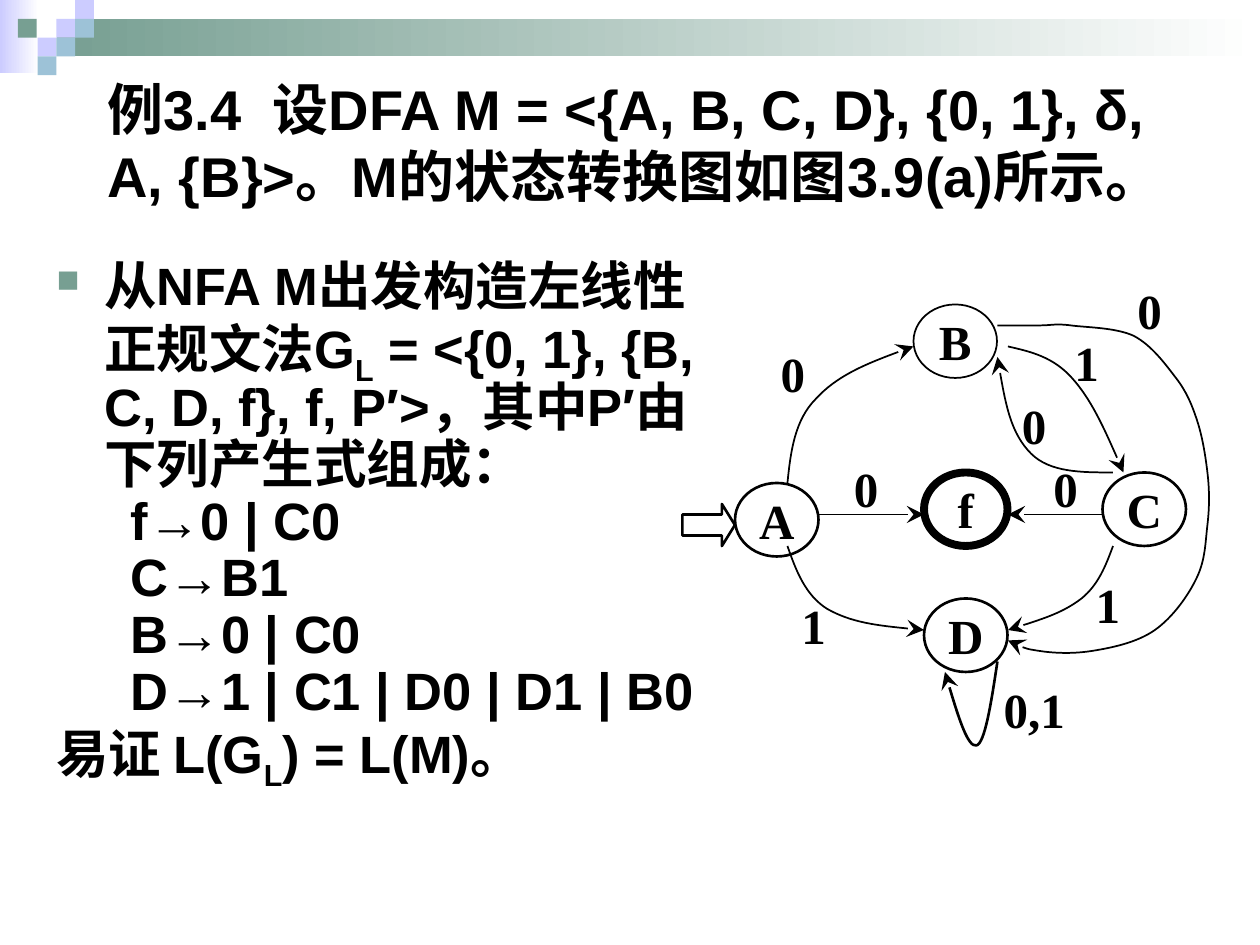
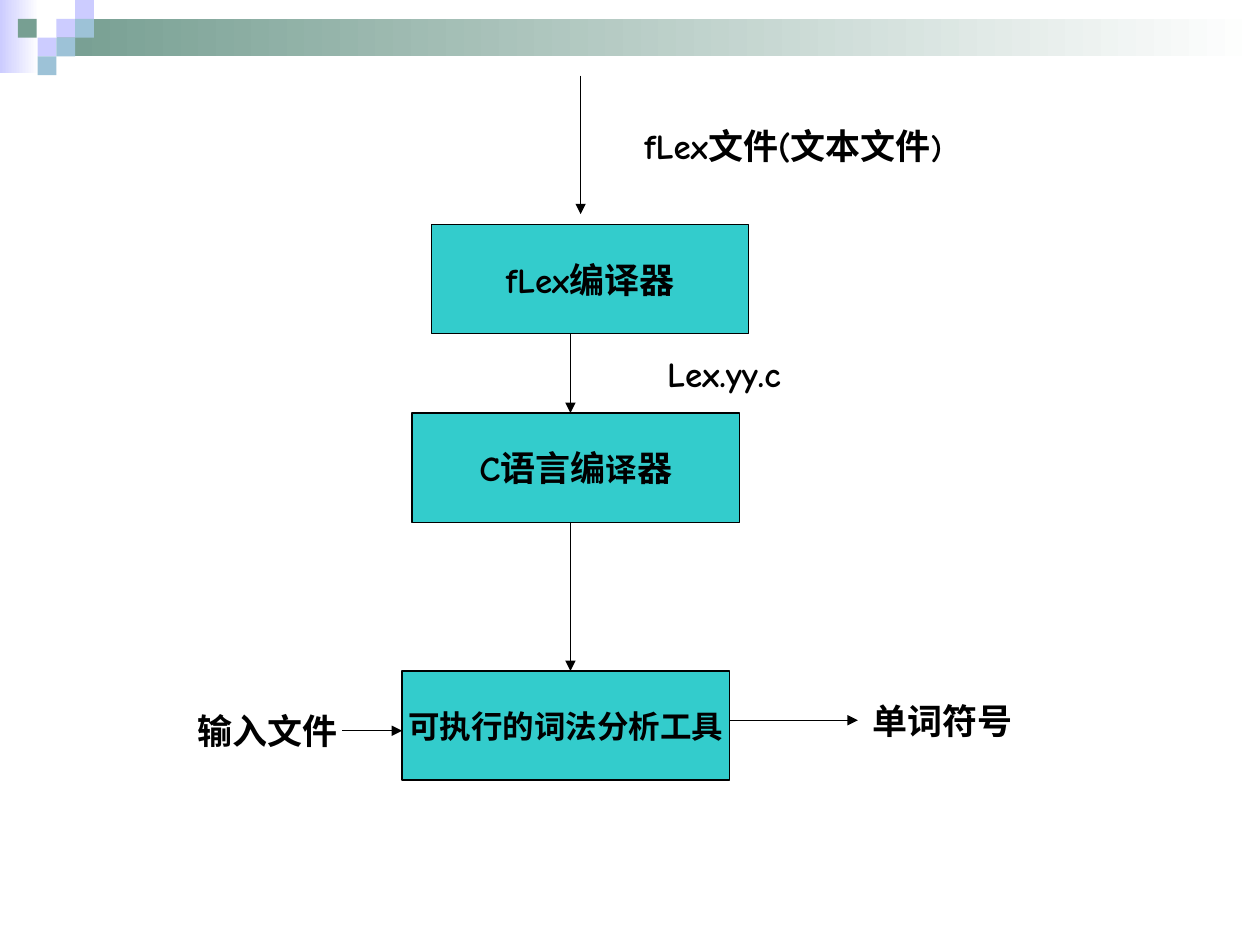
"""Build two lecture slides: a state diagram with its grammar, and the fLex workflow."""
import pptx
import pptx.dml.color
import pptx.enum.shapes
import pptx.enum.text
import pptx.oxml.ns
import pptx.util
from lxml import etree

color = pptx.dml.color.RGBColor.from_string
qn = pptx.oxml.ns.qn
PRESET = pptx.enum.shapes.MSO_SHAPE
ANCHOR = pptx.enum.text.MSO_ANCHOR
CENTER = pptx.enum.text.PP_ALIGN.CENTER

BLACK, WHITE = "000000", "FFFFFF"
LILAC, GREEN, BLUE, TEAL = "CCCCFF", "779F92", "9DC2D7", "33CCCC"

presentation = pptx.Presentation()
presentation.slide_width = pptx.util.Inches(10)
presentation.slide_height = pptx.util.Inches(7.5)
CELL = presentation.slide_width // 120


def add_box(slide, preset, bounds, fill=None, line_width=0):
    """Add a preset shape, or a text box when preset is None, at bounds in grid cells."""
    place = [round(CELL * value) for value in bounds]
    if preset is None:
        shape = slide.shapes.add_textbox(*place)
    else:
        shape = slide.shapes.add_shape(preset, *place)
        shape.shadow.inherit = False
        if fill:
            shape.fill.solid()
            shape.fill.fore_color.rgb = color(fill)
        else:
            shape.fill.background()
        if line_width:
            shape.line.color.rgb = color(BLACK)
            shape.line.width = pptx.util.Pt(line_width)
        else:
            shape.line.fill.background()
    shape.text_frame.word_wrap = False
    shape.text_frame.vertical_anchor = ANCHOR.MIDDLE
    return shape


def write(paragraph, text, font_name, size, marked_size=None):
    """Write bold text; parts between underscores get marked_size, or else are subscripts."""
    paragraph._p.get_or_add_pPr().set("hangingPunct", "0")
    for index, part in enumerate(text.split("_")):
        run = paragraph.add_run()
        run.text = part
        run.font.name = font_name
        run.font.bold = True
        run.font.color.rgb = color(BLACK)
        run.font.size = pptx.util.Pt(size)
        if index % 2 and marked_size:
            run.font.size = pptx.util.Pt(marked_size)
        elif index % 2:
            run.font._element.set("baseline", "-25000")


blank = presentation.slide_layouts[6]
grammar_slide, workflow_slide = [presentation.slides.add_slide(blank) for _ in range(2)]

SQUARE = 1.79
squares = [(3, 1, LILAC), (4, 0, LILAC), (4, 1, BLUE), (2, 2, LILAC),
           (0.95, 1, GREEN), (3, 2, BLUE), (2, 3, BLUE)]
for slide in presentation.slides:
    for bounds, tint in [((0, 0, 3.7, 7), LILAC), ((5.4, 1.8, 114.6, 3.55), GREEN)]:
        band = add_box(slide, PRESET.RECTANGLE, bounds)
        band.fill.gradient()
        band.fill.gradient_angle = 180
        for stop, stop_color, position in zip(band.fill.gradient_stops, (WHITE, tint), (0, 1)):
            stop.color.rgb = color(stop_color)
            stop.position = position
    for column, row, tint in squares:
        add_box(slide, PRESET.RECTANGLE,
                (column * SQUARE, row * SQUARE, SQUARE, SQUARE), tint)

title = add_box(grammar_slide, None, (9.05, 6, 108, 15))
title.text_frame.word_wrap = True
write(title.text_frame.paragraphs[0],
      "例3.4  设DFA M = <{A, B, C, D}, {0, 1}, δ, A, {B}>。M的状态转换图如图3.9(a)所示。",
      "Arial", 32)

body = add_box(grammar_slide, None, (4.2, 24.2, 66.5, 57))
body.text_frame.word_wrap = True
body.text_frame.vertical_anchor = ANCHOR.TOP
body_lines = [
    ("从NFA M出发构造左线性正规文法G_L_ = <{0, 1}, {B, C, D, f}, f, P′>，其中P′由下列产生式组成：",
     0.38, 0.38),
    ("f→0 | C0", 0.9, 0.31),
    ("C→B1", 0.9, 0.31),
    ("B→0 | C0", 0.9, 0.31),
    ("D→1 | C1 | D0 | D1 | B0", 0.9, 0.31),
    ("易证 L(G_L_) = L(M)。", 0.38, 0.38),
]
for index, (text, margin, hanging) in enumerate(body_lines):
    paragraph = body.text_frame.add_paragraph() if index else body.text_frame.paragraphs[0]
    properties = paragraph._p.get_or_add_pPr()
    properties.set("marL", str(pptx.util.Inches(margin)))
    properties.set("indent", str(-pptx.util.Inches(hanging)))
    if index == 0:
        bullet_color = etree.SubElement(properties, qn("a:buClr"))
        etree.SubElement(bullet_color, qn("a:srgbClr"), val=GREEN)
        etree.SubElement(properties, qn("a:buSzPct"), val="60000")
        etree.SubElement(properties, qn("a:buChar"), char="■")
    paragraph.line_spacing = 0.9
    write(paragraph, text, "Arial", 30)

states = [("A", 70, 46, 1.5), ("B", 87, 29, 1), ("C", 105, 45, 1.5),
          ("D", 88, 57, 1.5), ("f", 88, 45, 4.5)]
edge_labels = [("1", 98, 31), ("0", 70, 32), ("0,1", 93, 64), ("1", 72, 56), ("1", 100, 54),
               ("0", 93, 37), ("0", 104, 26), ("0", 77, 43), ("0", 96, 43)]
diagram_texts = [(add_box(grammar_slide, PRESET.OVAL, (left, top, 7.95, 7), None, width), name)
                 for name, left, top, width in states]
diagram_texts += [(add_box(grammar_slide, None, (left, top, 11, 7)), label)
                  for label, left, top in edge_labels]
for shape, text in diagram_texts:
    paragraph = shape.text_frame.paragraphs[0]
    paragraph.alignment = CENTER
    write(paragraph, text, "Times New Roman", 28)

start_arrow = add_box(grammar_slide, PRESET.RIGHT_ARROW, (65, 48, 5, 4), None, 1.5)
start_arrow.adjustments[1] = 0.31

transitions = [
    (1.5, [(95, 63), (94.4, 67), (93.8, 70.8), (93, 71), (92.2, 71.2), (91, 67.5), (90, 64)]),
    (1, [(75, 46), (75.3, 43), (75.7, 40), (77.7, 38), (79.7, 35.8), (83.3, 34.3), (87, 33)]),
    (1, [(75, 52), (75.8, 54.3), (76.7, 56.7), (78.8, 58), (81.1, 59.3), (84.5, 59.7), (88, 60)]),
    (1, [(106, 45), (103, 45), (100, 45), (98.2, 43.2), (96.3, 41.3), (95.6, 37.7), (95, 34)]),
    (1, [(96, 33), (98.2, 33.5), (100.3, 34), (102.1, 36), (103.9, 38), (105.5, 41.5), (107, 45)]),
    (1, [(106, 52), (105.3, 53.9), (104.6, 55.7), (103, 57), (101.3, 58.3), (98.6, 59.2), (96, 60)]),
    (1, [(95, 31), (96.3, 31), (97.7, 31), (99, 31), (100.2, 31), (100.5, 30.8), (102, 31),
         (103.5, 31.2), (106.3, 31.2), (108, 32), (109.7, 32.9), (111, 34.7), (112, 36),
         (113, 37.3), (113.5, 38.5), (114, 40), (114.5, 41.5), (114.8, 43.3), (115, 45),
         (115.2, 46.7), (115.2, 48.3), (115, 50), (114.8, 51.7), (114.8, 53.3), (114, 55),
         (113.2, 56.7), (111.7, 58.8), (110, 60), (108.3, 61.2), (105.9, 61.7), (104, 62),
         (102.1, 62.3), (100.3, 62.2), (99, 62), (97.7, 61.8), (96.8, 61.5), (96, 61)]),
]
arrows = []
for width, points in transitions:
    start, *controls = [(CELL * x, CELL * y) for x, y in points]
    builder = grammar_slide.shapes.build_freeform(*start)
    builder.add_line_segments(controls, close=False)
    shape = builder.convert_to_shape()
    shape.fill.background()
    segments = list(shape._element.iter(qn("a:lnTo")))
    outline = segments[0].getparent()
    for first in range(0, len(segments), 3):
        curve = etree.SubElement(outline, qn("a:cubicBezTo"))
        for segment in segments[first:first + 3]:
            curve.append(segment[0])
            outline.remove(segment)
    arrows.append((shape, width, "stealth", "lg"))

workflow_boxes = [("fLex编译器", 41.12, 21.4, 30.2, 20), ("C语言编_译_器", 39.24, 39.34, 31.2, 20),
                  ("可执行的词法分析工具", 38.3, 63.9, 31.2, 18)]
workflow_labels = [("fLex文件(文本文件)", 57, 10.1), ("Lex.yy.c", 50.4, 31.8),
                   ("输入文件", 6.95, 65.8), ("单词符号", 71.2, 64.8)]
workflow_texts = [(add_box(workflow_slide, PRESET.RECTANGLE, (left, top, width, 10.4), TEAL, 0.75),
                   text, size) for text, left, top, width, size in workflow_boxes]
workflow_texts += [(add_box(workflow_slide, None, (left, top, 37.1, 7.6)), text, 20)
                   for text, left, top in workflow_labels]
for shape, text, size in workflow_texts:
    paragraph = shape.text_frame.paragraphs[0]
    paragraph.alignment = CENTER
    write(paragraph, text, "Comic Neue", size, 18)
    if text.endswith(")"):
        paragraph.runs[0].text = text[:-1]
        write(paragraph, ")", "Comic Neue", 18)

straight_arrows = [
    (grammar_slide, 1, "stealth", "lg", [(78, 49, 88, 49), (105, 49, 96, 49)]),
    (workflow_slide, 0.75, "triangle", "med",
     [(55.3, 7.2, 55.3, 20.4), (54.33, 31.8, 54.33, 39.34), (54.33, 49.7, 54.33, 63.9),
      (32.6, 69.6, 38.3, 69.6), (69.5, 68.6, 81.7, 68.6)]),
]
for slide, width, head, head_size, ends in straight_arrows:
    for end in ends:
        connector = slide.shapes.add_connector(
            pptx.enum.shapes.MSO_CONNECTOR.STRAIGHT, *[round(CELL * value) for value in end])
        arrows.append((connector, width, head, head_size))

for shape, width, head, head_size in arrows:
    shape.line.color.rgb = color(BLACK)
    shape.line.width = pptx.util.Pt(width)
    shape_properties = shape._element.spPr
    etree.SubElement(shape_properties.find(qn("a:ln")), qn("a:tailEnd"),
                     type=head, w=head_size, len=head_size)
    etree.SubElement(shape_properties, qn("a:effectLst"))

presentation.save("out.pptx")
